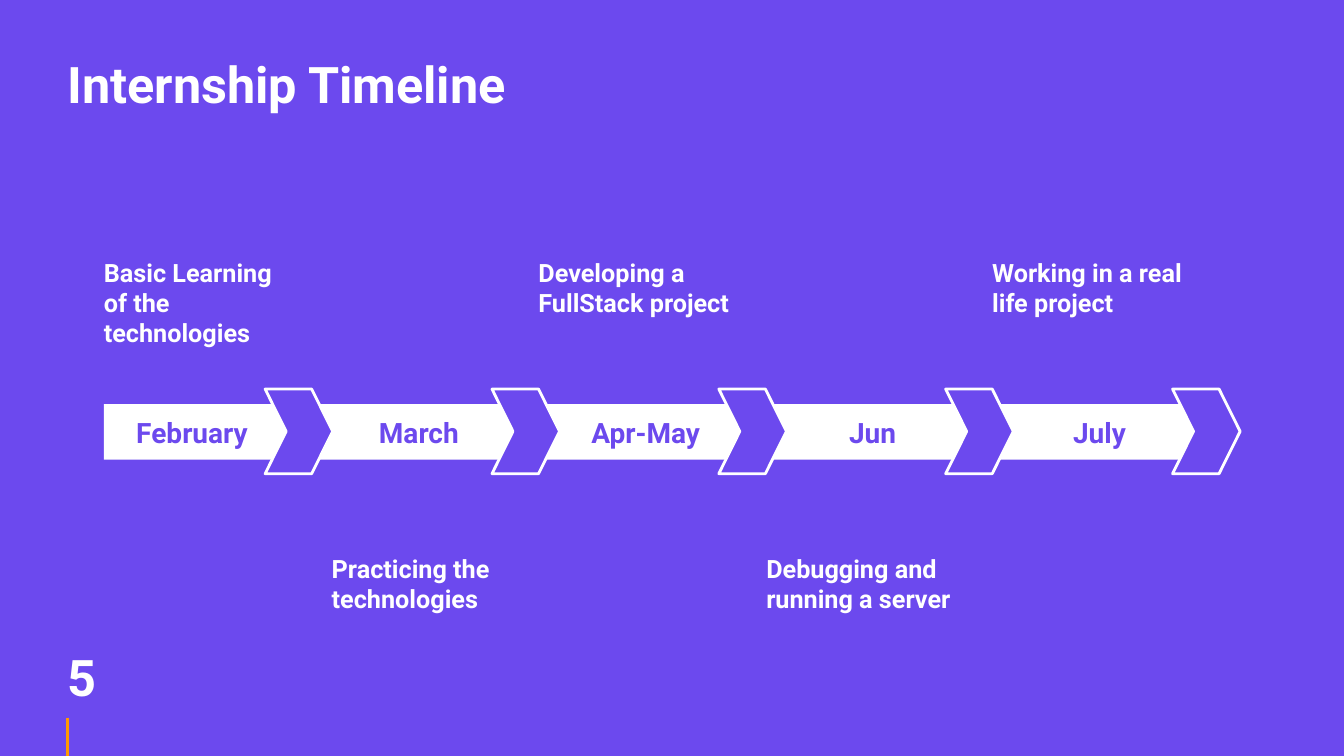
from lxml.etree import SubElement
from pptx import Presentation
from pptx.dml.color import RGBColor
from pptx.enum.shapes import MSO_CONNECTOR as Connector, MSO_SHAPE as Shape
from pptx.enum.text import MSO_ANCHOR as Anchor, PP_ALIGN as Align
from pptx.oxml.ns import qn
from pptx.util import Inches, Pt

PURPLE = RGBColor(0x6C, 0x49, 0xEE)
WHITE = RGBColor(0xFF, 0xFF, 0xFF)
ORANGE = RGBColor(0xFF, 0x99, 0x00)

FIRST_LEFT = 1.03
MONTH_STEP = 2.25
ABOVE, BELOW = 2.55, 5.49
MILESTONES = [
    ("February", "Basic Learning of the technologies", 1.03, ABOVE),
    ("March", "Practicing the technologies", 3.29, BELOW),
    ("Apr-May", "Developing a FullStack project", 5.34, ABOVE),
    ("Jun", "Debugging and running a server", 7.6, BELOW),
    ("July", "Working in a real life project", 9.84, ABOVE),
]


class TimelineSlide:
    font = "Roboto"
    line_width = Pt(2)

    def __init__(self, deck):
        self.page = deck.slides.add_slide(deck.slide_layouts[6])
        self.page.background.fill.solid()
        self.page.background.fill.fore_color.rgb = PURPLE

    def text(self, words, left, top, width, height, size,
             color=WHITE, align=Align.LEFT, anchor=Anchor.TOP, inset=0):
        box = self.page.shapes.add_textbox(
            Inches(left), Inches(top), Inches(width), Inches(height))
        frame = box.text_frame
        frame.word_wrap = True
        frame.vertical_anchor = anchor
        frame.margin_left = frame.margin_right = 0
        frame.margin_top = frame.margin_bottom = Inches(inset)
        frame.text = words
        para = frame.paragraphs[0]
        para.alignment = align
        span = para.runs[0]
        span.font.name = self.font
        span.font.size = Pt(size)
        span.font.bold = True
        span.font.color.rgb = color

    def heading(self, words, left, top, width, height):
        self.text(words, left, top, width, height, 36,
                  anchor=Anchor.MIDDLE, inset=0.07)

    def shape(self, kind, left, top, width, height, fill, outline=None):
        shape = self.page.shapes.add_shape(
            kind, Inches(left), Inches(top), Inches(width), Inches(height))
        shape.shadow.inherit = False
        shape.fill.solid()
        shape.fill.fore_color.rgb = fill
        if outline is None:
            shape.line.fill.background()
        else:
            shape.line.color.rgb = outline
            shape.line.width = self.line_width
        return shape

    def chevron(self, left):
        arrow = self.shape(Shape.CHEVRON, left, 3.86, 0.67, 0.84, PURPLE, WHITE)
        arrow.adjustments[0] = 0.311

    def line(self, left, top, right, bottom, color):
        line = self.page.shapes.add_connector(
            Connector.STRAIGHT,
            Inches(left), Inches(top), Inches(right), Inches(bottom))
        line.line.color.rgb = color
        line.line.width = self.line_width
        SubElement(line._element.spPr, qn("a:effectLst"))


def main():
    deck = Presentation()
    deck.slide_width = Inches(13.33)
    deck.slide_height = Inches(7.5)

    timeline = TimelineSlide(deck)
    timeline.line(0.67, 7.12, 0.67, 7.5, ORANGE)
    timeline.heading("Internship Timeline", 0.67, 0.44, 12, 0.78)
    timeline.heading("5", 0.67, 6.51, 0.8, 0.4)
    timeline.shape(Shape.RECTANGLE, FIRST_LEFT, 4.01, 11.05, 0.55, WHITE)

    for index, (month, task, task_left, task_top) in enumerate(MILESTONES):
        left = FIRST_LEFT + index * MONTH_STEP
        timeline.chevron(left + 1.6)
        timeline.text(month, left + 0.24, 4.12, 1.27, 0.32, 20,
                      color=PURPLE, align=Align.CENTER)
        timeline.text(task, task_left, task_top, 1.95, 0.61, 18)

    deck.save("out.pptx")


if __name__ == "__main__":
    main()
